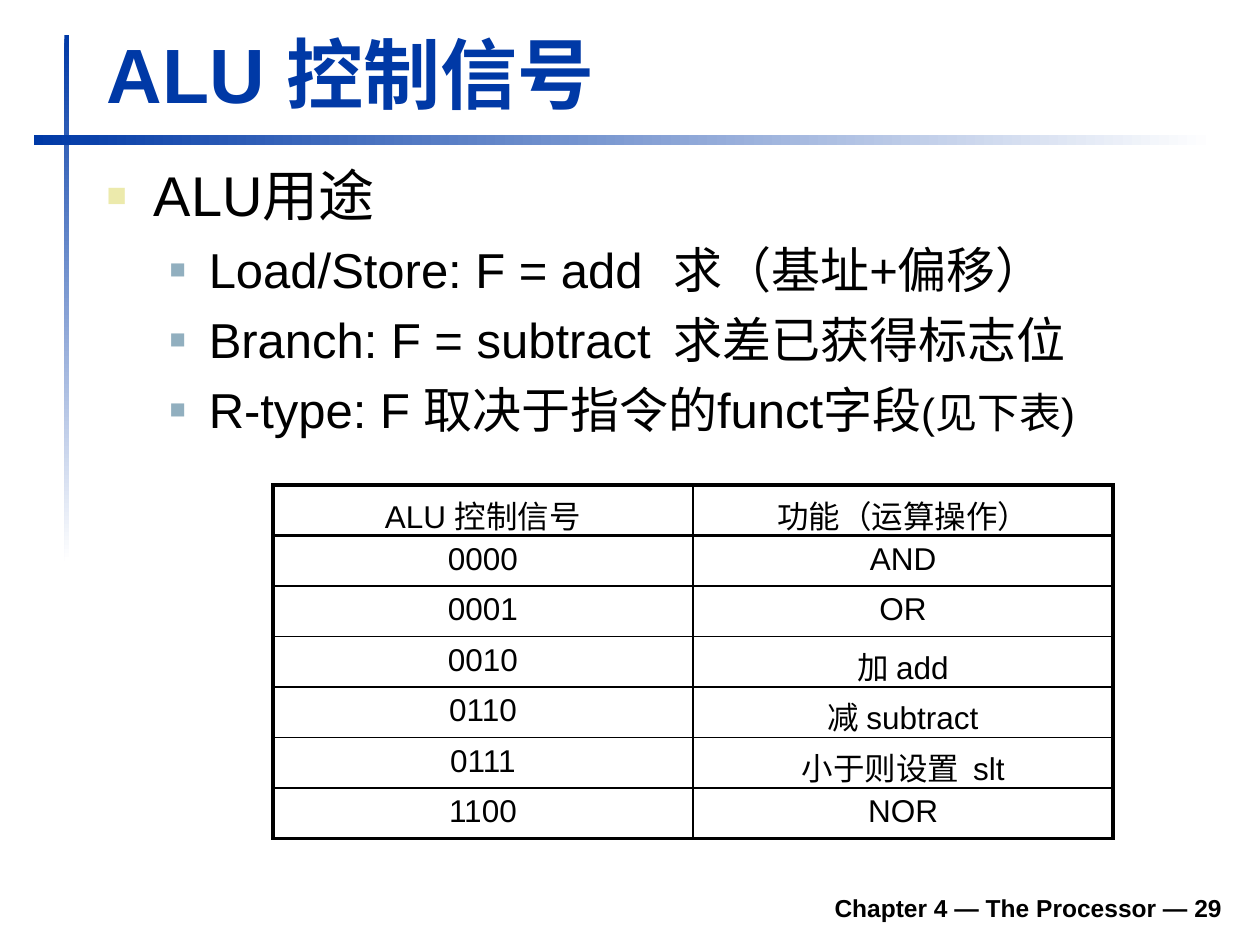
from lxml.etree import SubElement
from pptx import Presentation
from pptx.dml.color import RGBColor
from pptx.enum.shapes import MSO_SHAPE
from pptx.enum.text import MSO_ANCHOR, PP_ALIGN
from pptx.oxml.ns import qn
from pptx.util import Cm, Pt

BLUE = RGBColor(0x00, 0x39, 0xA6)
WHITE = RGBColor(0xFF, 0xFF, 0xFF)
BLACK = RGBColor(0x00, 0x00, 0x00)
YELLOW = RGBColor(0xEC, 0xEA, 0xAC)
STEEL = RGBColor(0x91, 0xAF, 0xBF)


def add_span(paragraph, text, size, color=BLACK, bold=False):
    span = paragraph.add_run()
    span.text = text
    span.font.name = "Arial"
    span.font.size = Pt(size)
    span.font.color.rgb = color
    span.font.bold = bold


def add_box(left, top, width, height, anchor):
    box = page.shapes.add_textbox(Cm(left), Cm(top), Cm(width), Cm(height))
    box.text_frame.word_wrap = True
    box.text_frame.vertical_anchor = anchor
    return box.text_frame


deck = Presentation()
deck.slide_width, deck.slide_height = Cm(25.4), Cm(19.05)
page = deck.slides.add_slide(deck.slide_layouts[6])

# Fading rules: vertical, then horizontal
for left, top, width, height, angle in [
    (1.3, 0.71, 0.1, 10.6, 270),
    (0.69, 2.72, 23.8, 0.2, 0),
]:
    rule = page.shapes.add_shape(
        MSO_SHAPE.RECTANGLE, Cm(left), Cm(top), Cm(width), Cm(height))
    rule.shadow.inherit = False
    rule.line.fill.background()
    rule.fill.gradient()
    rule.fill.gradient_angle = angle
    for stop, color, position in zip(rule.fill.gradient_stops, (BLUE, WHITE), (0, 1)):
        stop.color.rgb = color
        stop.position = position

footer = add_box(4.7, 17.73, 20.19, 0.99, MSO_ANCHOR.BOTTOM).paragraphs[0]
footer.alignment = PP_ALIGN.RIGHT
add_span(footer, "Chapter 4 — The Processor — 29", 14, bold=True)

title = add_box(1.9, 0.41, 22.94, 2.11, MSO_ANCHOR.BOTTOM).paragraphs[0]
add_span(title, "ALU 控制信号", 44, BLUE, True)

# Bulleted outline: level, then spans of text and size
outline = [
    (0, [("ALU用途", 32)]),
    (1, [("Load/Store: F = add\t求（基址+偏移）", 28)]),
    (1, [("Branch: F = subtract\t求差已获得标志位", 28)]),
    (1, [("R-type: F 取决于指令的funct字段", 28), ("(见下表)", 24)]),
]
bullet_styles = [(0.95, -0.95, YELLOW, 60), (2.06, -0.79, STEEL, 55)]
body = add_box(1.9, 3.12, 22.99, 6.6, MSO_ANCHOR.TOP)
for index, (level, spans) in enumerate(outline):
    paragraph = body.add_paragraph() if index else body.paragraphs[0]
    margin, indent, color, percent = bullet_styles[level]
    paragraph.level = level
    if index:
        paragraph.space_before = Pt(6.5)
    properties = paragraph._p.get_or_add_pPr()
    properties.set("marL", str(Cm(margin)))
    properties.set("indent", str(Cm(indent)))
    bullet_color = SubElement(properties, qn("a:buClr"))
    SubElement(bullet_color, qn("a:srgbClr"), val=str(color))
    SubElement(properties, qn("a:buSzPct"), val=str(percent * 1000))
    SubElement(properties, qn("a:buFont"), typeface="Arial")
    SubElement(properties, qn("a:buChar"), char="■")
    for text, size in spans:
        add_span(paragraph, text, size)

# Table of control codes
rows = [
    ("ALU 控制信号", "功能（运算操作）"),
    ("0000", "AND"),
    ("0001", "OR"),
    ("0010", "加 add"),
    ("0110", "减 subtract"),
    ("0111", "小于则设置  slt"),
    ("1100", "NOR"),
]
last = len(rows) - 1
table = page.shapes.add_table(
    len(rows), 2, Cm(5.5), Cm(9.78), Cm(16.94), Cm(7.11)).table
for row, texts in enumerate(rows):
    for column, text in enumerate(texts):
        cell = table.cell(row, column)
        paragraph = cell.text_frame.paragraphs[0]
        paragraph.alignment = PP_ALIGN.CENTER
        add_span(paragraph, text, 18)
        borders = {
            "a:lnL": 1 if column else 2.25,
            "a:lnR": 2.25 if column else 1,
            "a:lnT": {0: 2.25, 1: 1.5}.get(row, 1),
            "a:lnB": {0: 1.5, last: 2.25}.get(row, 1),
        }
        properties = cell._tc.get_or_add_tcPr()
        for side, width in borders.items():
            border = SubElement(properties, qn(side), w=str(Pt(width)))
            fill = SubElement(border, qn("a:solidFill"))
            SubElement(fill, qn("a:srgbClr"), val=str(BLACK))
        cell.fill.background()

deck.save("out.pptx")
